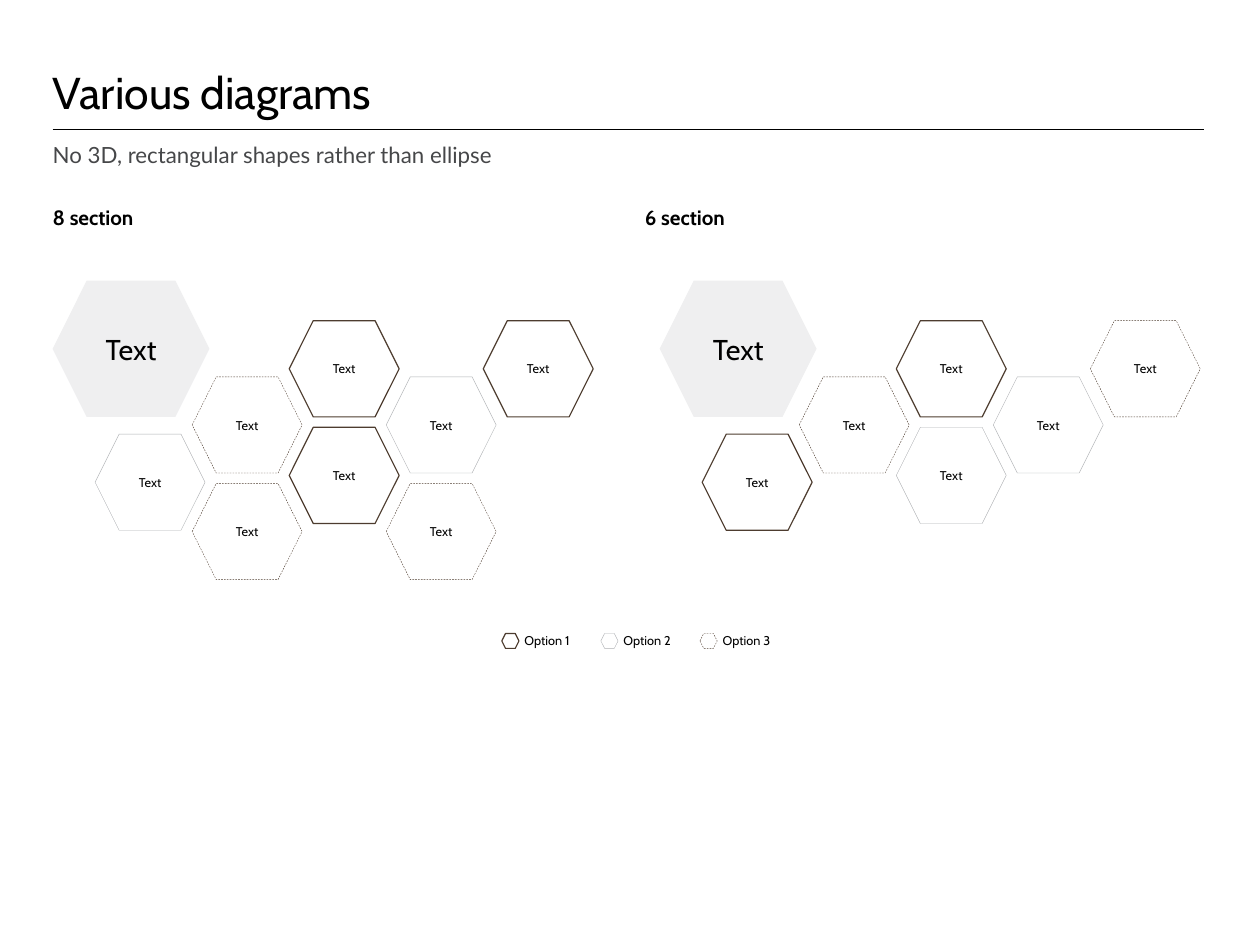
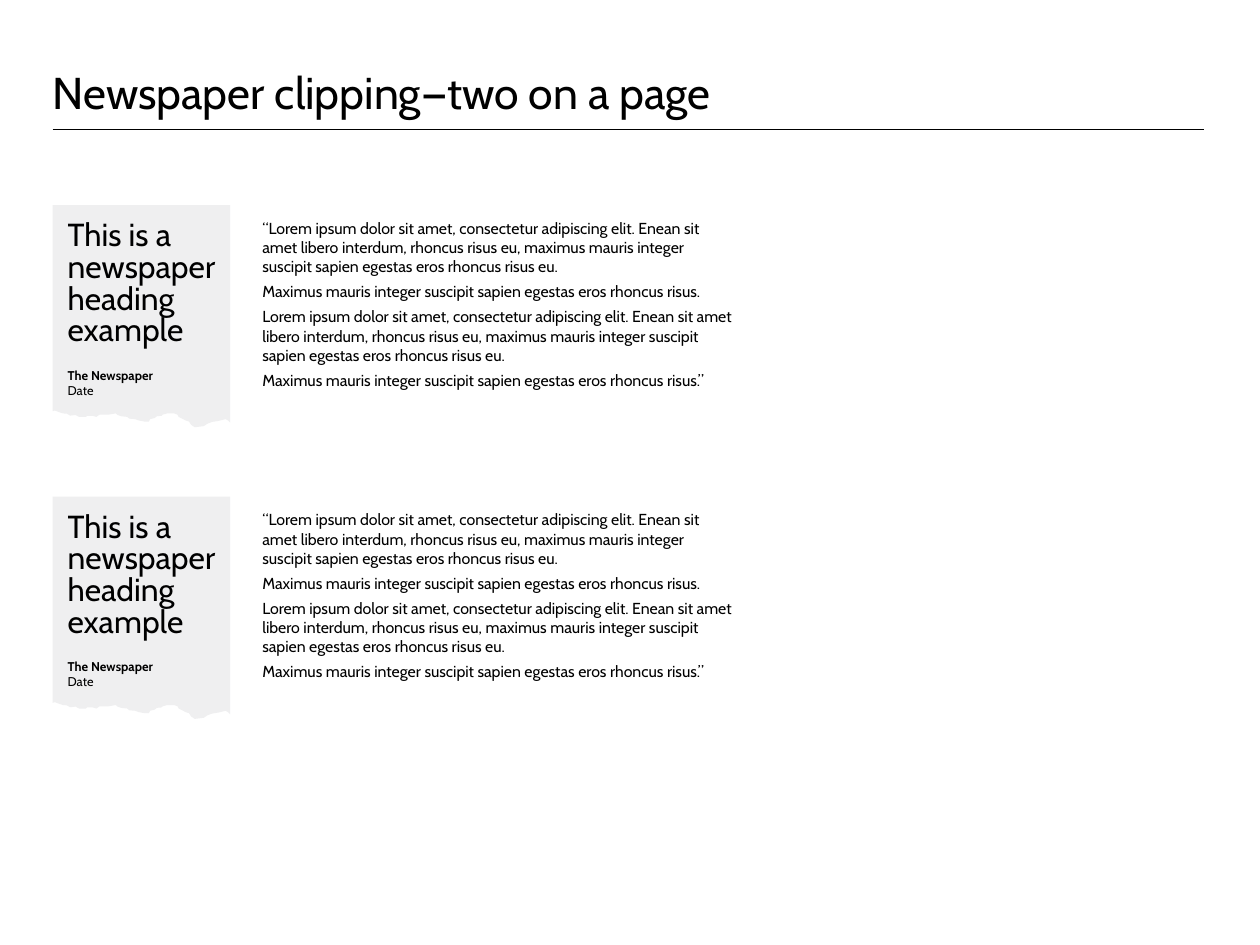
from lxml import etree
from pptx import Presentation
from pptx.dml.color import RGBColor
from pptx.enum import dml, shapes, text
from pptx.oxml.ns import qn
from pptx.util import Pt

BLACK, GREY, SILVER, BROWN, PALE = "000000", "464749", "AEB0B3", "4D3C2F", "EFEFF0"
LEFT, WIDTH = 33.1, 723.6

# Outline of each option: colour, weight, dashed
OPTIONS = {1: (BROWN, 0.75, False), 2: (SILVER, 0.25, False), 3: (BROWN, 0.25, True)}

HEX_W, HEX_H = 69.1, 60.5
COLUMN_TOPS = [272.9, 236.9, 201.6, 236.9, 201.6]
COLUMN_STEP, ROW_STEP = 61, 67

# Options of the hexagons in each column, from top to bottom
EIGHT = [[2], [3, 3], [1, 1], [2, 3], [1]]
SIX = [[1], [3], [1, 2], [2], [3]]

# Torn lower edge of a clipping, from right to left
TORN_EDGE = [
    (111.6, 136.8), (110.2, 135.4), (108.7, 134.6), (104.4, 135.7), (100.1, 136.4),
    (97.2, 137.5), (95, 139), (89.3, 139.7), (87.1, 138.2), (85.7, 136.1),
    (83.5, 135.4), (81.4, 134.3), (79.2, 133.2), (78.5, 131.8), (76.3, 131),
    (72, 131), (69.1, 131.8), (68.4, 132.5), (65.5, 132.8), (64.1, 133.9),
    (61.2, 134.6), (60.5, 136.1), (57.6, 136.1), (54, 135.4), (51.8, 134.6),
    (48.2, 134.3), (46.8, 133.2), (43.2, 132.8), (41, 132.1), (39.6, 131),
    (35, 131.8), (29.5, 131.8), (27.4, 133.2), (25.2, 132.5), (21.6, 132.5),
    (20.9, 133.2), (16.6, 133.2), (14.4, 132), (11, 132.4), (9, 131.2),
    (6.5, 131), (4.3, 130.3), (1.4, 129.2), (0, 129.6),
]

LOREM = (
    "Lorem ipsum dolor sit amet, consectetur adipiscing elit. Enean sit amet libero "
    "interdum, rhoncus risus eu, maximus mauris integer suscipit sapien egestas eros "
    "rhoncus risus eu."
)
MAXIMUS = "Maximus mauris integer suscipit sapien egestas eros rhoncus risus."
QUOTE = ["“" + LOREM, MAXIMUS, LOREM, MAXIMUS + "”"]


def rgb(color):
    return RGBColor.from_string(color)


class Deck:
    def __init__(self):
        self.prs = Presentation()
        self.prs.slide_width, self.prs.slide_height = Pt(792), Pt(594)
        self.slide = None

    def new_slide(self, title):
        """Add a slide with its title and the rule below it."""
        self.slide = self.prs.slides.add_slide(self.prs.slide_layouts[5])
        sp = self.slide.shapes.title
        sp.left, sp.top, sp.width, sp.height = Pt(LEFT), Pt(0), Pt(WIDTH), Pt(74.2)
        tf = self.frame(sp, text.MSO_ANCHOR.BOTTOM)
        p = self.fill_text(tf, [title], 28)[0]
        p.line_spacing = Pt(32)
        self.rule(81.4)

    def rule(self, y):
        line = self.slide.shapes.add_connector(
            shapes.MSO_CONNECTOR.STRAIGHT, Pt(LEFT), Pt(y), Pt(LEFT + WIDTH), Pt(y))
        line.line.color.rgb = rgb(BLACK)
        line.line.width = Pt(0.75)
        etree.SubElement(line._element.spPr, qn("a:effectLst"))

    def frame(self, sp, anchor=text.MSO_ANCHOR.TOP, inset=0):
        tf = sp.text_frame
        tf.word_wrap = True
        tf.auto_size = text.MSO_AUTO_SIZE.NONE
        tf.vertical_anchor = anchor
        tf.margin_left = tf.margin_right = tf.margin_top = tf.margin_bottom = Pt(inset)
        return tf

    def fill_text(self, tf, lines, size, color=BLACK, font="Cabin", bold=False,
                  align=text.PP_ALIGN.LEFT):
        """Set one paragraph a line, all in one style, and return the paragraphs."""
        tf.text = "\n".join(lines)
        for p in tf.paragraphs:
            p.alignment = align
            for r in p.runs:
                r.font.name, r.font.size, r.font.bold = font, Pt(size), bold
                r.font.color.rgb = rgb(color)
        return tf.paragraphs

    def text_box(self, x, y, w, h, lines, size, anchor=text.MSO_ANCHOR.TOP, **style):
        sp = self.slide.shapes.add_textbox(Pt(x), Pt(y), Pt(w), Pt(h))
        return self.fill_text(self.frame(sp, anchor), lines, size, **style)

    def hexagon(self, x, y, w, h, option=None, label=None, size=8):
        """Outline a hexagon in the style of an option, or fill it if there is none."""
        sp = self.slide.shapes.add_shape(
            shapes.MSO_SHAPE.HEXAGON, Pt(x), Pt(y), Pt(w), Pt(h))
        sp.shadow.inherit = False
        if option:
            color, weight, dashed = OPTIONS[option]
            sp.fill.background()
            sp.line.color.rgb = rgb(color)
            sp.line.width = Pt(weight)
            if dashed:
                sp.line.dash_style = dml.MSO_LINE.DASH
        else:
            self.paint(sp)
        if label:
            tf = self.frame(sp, text.MSO_ANCHOR.MIDDLE, 2.9 if option else 0)
            self.fill_text(tf, [label], size, align=text.PP_ALIGN.CENTER)

    def paint(self, sp):
        """Give a shape the pale fill and no outline."""
        sp.fill.solid()
        sp.fill.fore_color.rgb = rgb(PALE)
        sp.line.fill.background()

    def honeycomb(self, x, columns):
        """Draw the large hexagon and the columns of small ones beside it."""
        for i, (top, options) in enumerate(zip(COLUMN_TOPS, columns)):
            for row, option in enumerate(options):
                self.hexagon(x + 26.7 + i * COLUMN_STEP, top + row * ROW_STEP,
                             HEX_W, HEX_H, option, "Text")
        self.hexagon(x, 176.4, 98.6, 85.7, label="Text", size=18)

    def legend(self, x, y, step):
        for i, option in enumerate(OPTIONS):
            left = x + i * step
            self.hexagon(left, y, 10.8, 9.4, option)
            self.text_box(left + 14.2, y, 42.5, 8.6, [f"Option {option}"], 8,
                          text.MSO_ANCHOR.MIDDLE)

    def torn_paper(self, x, y):
        points = [(Pt(x + dx), Pt(y + dy)) for dx, dy in TORN_EDGE + [(0, 0), (111.6, 0)]]
        builder = self.slide.shapes.build_freeform(*points[0], scale=1.0)
        builder.add_line_segments(points[1:], close=True)
        sp = builder.convert_to_shape()
        sp.shadow.inherit = False
        self.paint(sp)

    def clipping(self, y, heading, source, date, quote):
        self.torn_paper(LEFT, y)
        for p in self.text_box(LEFT + 131.8, y + 8.4, 296.6, 132.5, quote, 10)[1:]:
            p.space_before = Pt(3.8)
        head, name, _ = self.text_box(LEFT + 9.4, y + 10, 99.4, 108,
                                      [heading, source, date], 8)
        head.line_spacing = Pt(20)
        head.runs[0].font.size = Pt(20)
        name.space_before = Pt(12)
        name.runs[0].font.bold = True


def main():
    deck = Deck()

    deck.new_slide("Various diagrams")
    deck.text_box(LEFT, 88.6, WIDTH, 21.6,
                  ["No 3D, rectangular shapes rather than ellipse"],
                  14, color=GREY, font="Lato")
    for x, heading in ((LEFT, "8 section"), (405.4, "6 section")):
        deck.text_box(x, 128.9, 350, 28, [heading], 13, bold=True)
    deck.honeycomb(LEFT, EIGHT)
    deck.honeycomb(414.7, SIX)
    deck.legend(315.4, 398.2, 62.3)

    deck.new_slide("Newspaper clipping—two on a page")
    for y in (128.9, 312.2):
        deck.clipping(y, "This is a newspaper heading example", "The Newspaper", "Date",
                      QUOTE)

    deck.prs.save("out.pptx")


if __name__ == "__main__":
    main()
